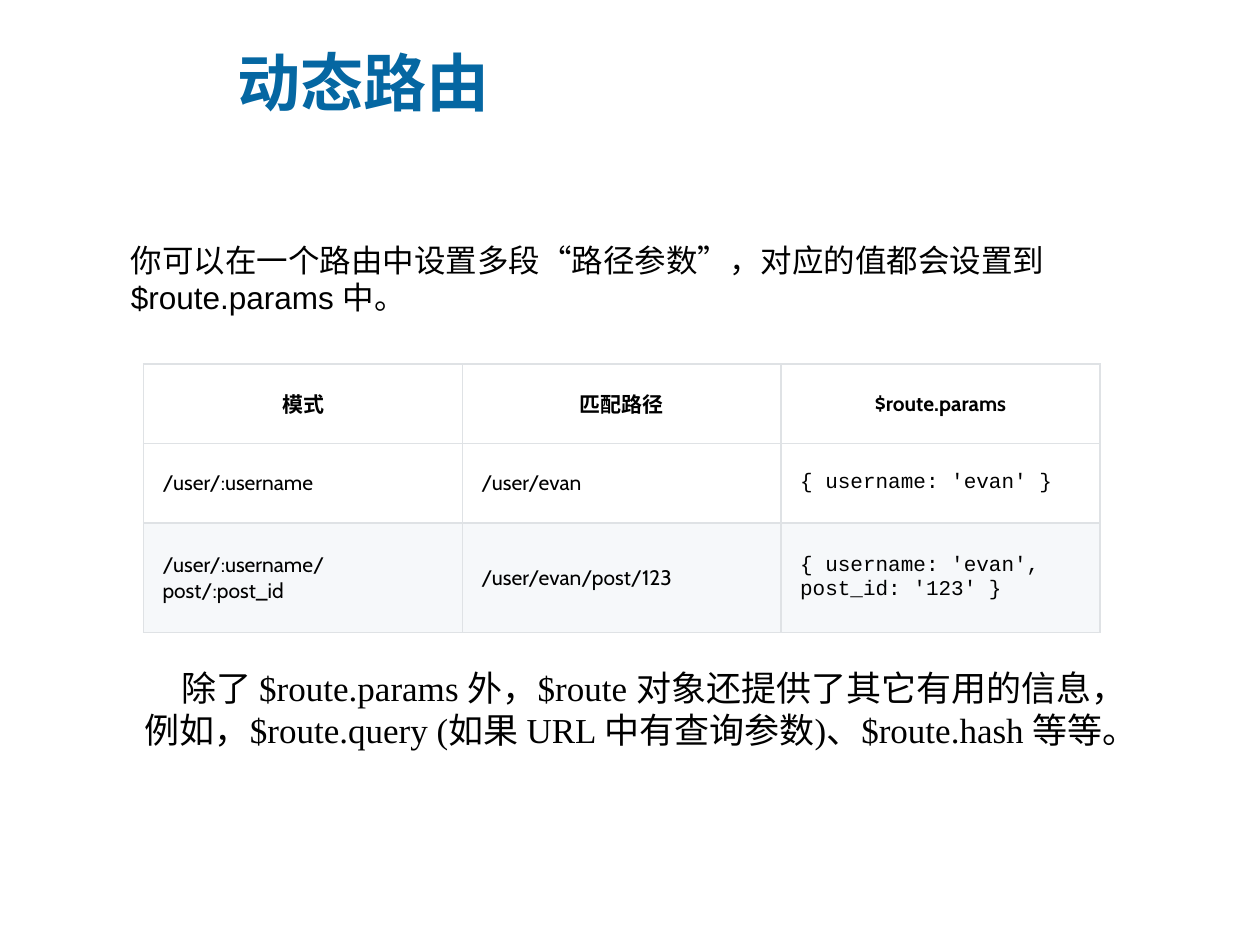
from lxml import etree
from pptx import Presentation
from pptx.dml.color import RGBColor
from pptx.enum import text as t
from pptx.oxml import ns
from pptx.util import Inches, Pt

BLUE = RGBColor(0x05, 0x67, 0xA2)
BLACK = RGBColor(0, 0, 0)
WHITE = RGBColor(0xFF, 0xFF, 0xFF)
STRIPE = RGBColor(0xF6, 0xF8, 0xFA)
BORDER = RGBColor(0xDF, 0xE2, 0xE5)

HAN, SERIF, SANS = "Noto Sans CJK SC", "Times New Roman", "Arial"
CABIN, CODE = "Cabin", "Courier New"

TITLE = "动态路由"
INTRO = "你可以在一个路由中设置多段“路径参数”，对应的值都会设置到 $route.params 中。"
ROUTES = [
    ("模式", "匹配路径", "$route.params"),
    ("/user/:username", "/user/evan", "{ username: 'evan' }"),
    ("/user/:username/post/:post_id", "/user/evan/post/123",
     "{ username: 'evan', post_id: '123' }"),
]
ROW_HEIGHTS = (0.63, 0.63, 0.87)
COLUMN_WIDTH = 2.53
# Chinese and Latin pieces take turns
CLOSING = [
    "除了 ", "$route.params ", "外，", "$route ", "对象还提供了其它有用的信息，例如，",
    "$route.query (", "如果 ", "URL ", "中有查询参数", ")", "、", "$route.hash ", "等等。",
]


def add_run(paragraph, words, size, font, color=BLACK, bold=False):
    run = paragraph.add_run()
    run.text = words
    run.font.size = Pt(size)
    run.font.name = font
    run.font.bold = bold
    run.font.color.rgb = color
    east_asian = etree.SubElement(run.font._element, ns.qn("a:ea"))
    east_asian.set("typeface", HAN)


def add_paragraph_box(slide, left, top, width, height, anchor):
    """Add a wrapping text box and return its first paragraph."""
    frame = slide.shapes.add_textbox(
        Inches(left), Inches(top), Inches(width), Inches(height)).text_frame
    frame.word_wrap = True
    frame.vertical_anchor = anchor
    return frame.paragraphs[0]


def add_borders(cell):
    properties = cell._tc.get_or_add_tcPr()
    for index, side in enumerate(("lnL", "lnR", "lnT", "lnB")):
        line = etree.Element(ns.qn("a:" + side), w=str(Pt(1)))
        fill = etree.SubElement(line, ns.qn("a:solidFill"))
        etree.SubElement(fill, ns.qn("a:srgbClr"), val=str(BORDER))
        properties.insert(index, line)


def add_route_table(slide, left, top):
    columns = len(ROUTES[0])
    table = slide.shapes.add_table(
        len(ROUTES), columns, Inches(left), Inches(top),
        Inches(COLUMN_WIDTH * columns), Inches(sum(ROW_HEIGHTS))).table
    for column in table.columns:
        column.width = Inches(COLUMN_WIDTH)
    for r, route in enumerate(ROUTES):
        table.rows[r].height = Inches(ROW_HEIGHTS[r])
        header = r == 0
        for c, words in enumerate(route):
            cell = table.cell(r, c)
            cell.margin_left = cell.margin_right = Inches(0.15)
            cell.margin_top = cell.margin_bottom = Inches(0.09)
            cell.vertical_anchor = t.MSO_ANCHOR.MIDDLE
            cell.fill.solid()
            cell.fill.fore_color.rgb = STRIPE if r == 2 else WHITE
            add_borders(cell)
            paragraph = cell.text_frame.paragraphs[0]
            paragraph.alignment = t.PP_ALIGN.CENTER if header else t.PP_ALIGN.LEFT
            is_code = c == columns - 1 and not header
            add_run(paragraph, words, 12, CODE if is_code else CABIN, bold=header)


def main():
    deck = Presentation()
    deck.slide_width, deck.slide_height = Inches(10), Inches(7.5)
    slide = deck.slides.add_slide(deck.slide_layouts[6])

    title = add_paragraph_box(slide, 1.79, 0.24, 8.21, 0.81, t.MSO_ANCHOR.MIDDLE)
    add_run(title, TITLE, 36, HAN, BLUE, bold=True)

    intro = add_paragraph_box(slide, 0.94, 1.86, 8.65, 0.71, t.MSO_ANCHOR.TOP)
    add_run(intro, INTRO, 18, SANS)

    add_route_table(slide, 1.14, 2.89)

    closing = add_paragraph_box(slide, 1.05, 5.24, 7.87, 0.77, t.MSO_ANCHOR.MIDDLE)
    closing._p.get_or_add_pPr().set("indent", str(Inches(0.29)))
    for index, words in enumerate(CLOSING):
        add_run(closing, words, 20, SERIF if index % 2 else HAN)

    deck.save("out.pptx")


if __name__ == "__main__":
    main()
